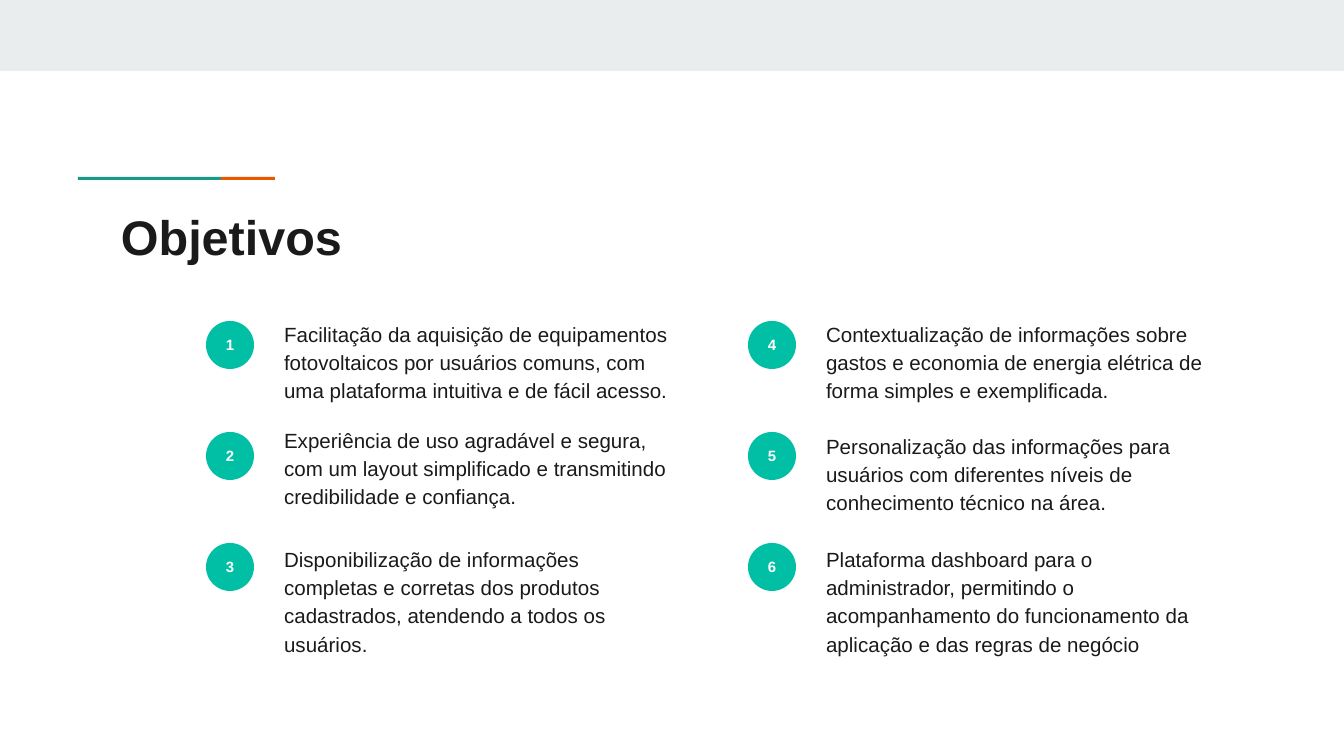
import pptx
import pptx.dml.color
import pptx.enum.shapes
import pptx.enum.text
import pptx.util

PX = 914400 / 134.4
FONT = "Arial"
INSET = 13
COLORS = {
    "band": "E9EDEE",
    "teal": "1A9988",
    "orange": "EB5600",
    "badge": "00BFA5",
    "text": "1A1A1A",
    "white": "FFFFFF",
}
COLUMN_LEFTS = (206, 748)
ROW_TOP, ROW_STEP = 321, 111
BADGE_SIZE = 48
TEXT_OFFSET, TEXT_WIDTH, TEXT_HEIGHT = 65, 417, 155
GOALS = [
    [
        (305, "Facilitação da aquisição de equipamentos fotovoltaicos por usuários comuns, "
              "com uma plataforma intuitiva e de fácil acesso."),
        (411, "Experiência de uso agradável e segura, com um layout simplificado e "
              "transmitindo credibilidade e confiança."),
        (530, "Disponibilização de informações completas e corretas dos produtos "
              "cadastrados, atendendo a todos os usuários."),
    ],
    [
        (305, "Contextualização de informações sobre gastos e economia de energia "
              "elétrica de forma simples e exemplificada."),
        (417, "Personalização das informações para usuários com diferentes níveis de "
              "conhecimento técnico na área."),
        (530, "Plataforma dashboard para o administrador, permitindo o acompanhamento do "
              "funcionamento da aplicação e das regras de negócio"),
    ],
]


def px(*lengths):
    """Turn px lengths into EMU."""
    return [pptx.util.Emu(round(length * PX)) for length in lengths]


def rgb(name):
    """Look up a named colour."""
    return pptx.dml.color.RGBColor.from_string(COLORS[name])


def add_filled(s, kind, box, color):
    """Add a preset shape with a plain fill and no line."""
    sp = s.shapes.add_shape(kind, *px(*box))
    sp.shadow.inherit = False
    sp.fill.solid()
    sp.fill.fore_color.rgb = rgb(color)
    sp.line.fill.background()
    return sp


def write_text(sp, text, size, color, bold=False):
    """Write one run into a shape and return its paragraph."""
    tf = sp.text_frame
    tf.word_wrap = True
    tf.margin_left, tf.margin_top, tf.margin_right, tf.margin_bottom = px(*[INSET] * 4)
    p = tf.paragraphs[0]
    r = p.add_run()
    r.text = text
    r.font.name = FONT
    r.font.size = pptx.util.Pt(size)
    r.font.bold = bold
    r.font.color.rgb = rgb(color)
    return p


def add_badge(s, left, top, number):
    """Add a numbered circle."""
    sp = add_filled(s, pptx.enum.shapes.MSO_SHAPE.OVAL, (left, top, BADGE_SIZE, BADGE_SIZE), "badge")
    sp.text_frame.vertical_anchor = pptx.enum.text.MSO_ANCHOR.MIDDLE
    p = write_text(sp, str(number), 8, "white", bold=True)
    p.alignment = pptx.enum.text.PP_ALIGN.CENTER


def add_goal(s, left, top, text):
    """Add the text of one goal."""
    sp = s.shapes.add_textbox(*px(left, top, TEXT_WIDTH, TEXT_HEIGHT))
    p = write_text(sp, text, 11, "text")
    p.line_spacing = 1.15


def main():
    """Build the slide and save it."""
    prs = pptx.Presentation()
    prs.slide_width, prs.slide_height = px(1344, 756)
    s = prs.slides.add_slide(prs.slide_layouts[6])

    rect = pptx.enum.shapes.MSO_SHAPE.RECTANGLE
    add_filled(s, rect, (0, 0, 1344, 71), "band")
    add_filled(s, rect, (78, 177, 143, 3), "teal")
    add_filled(s, rect, (221, 177, 54, 3), "orange")

    title = s.shapes.add_textbox(*px(108, 194, 1130, 79))
    write_text(title, "Objetivos", 26, "text", bold=True)

    number = 0
    for left, goals in zip(COLUMN_LEFTS, GOALS):
        for row, (text_top, text) in enumerate(goals):
            number += 1
            add_badge(s, left, ROW_TOP + row * ROW_STEP, number)
            add_goal(s, left + TEXT_OFFSET, text_top, text)

    prs.save("out.pptx")


if __name__ == "__main__":
    main()
